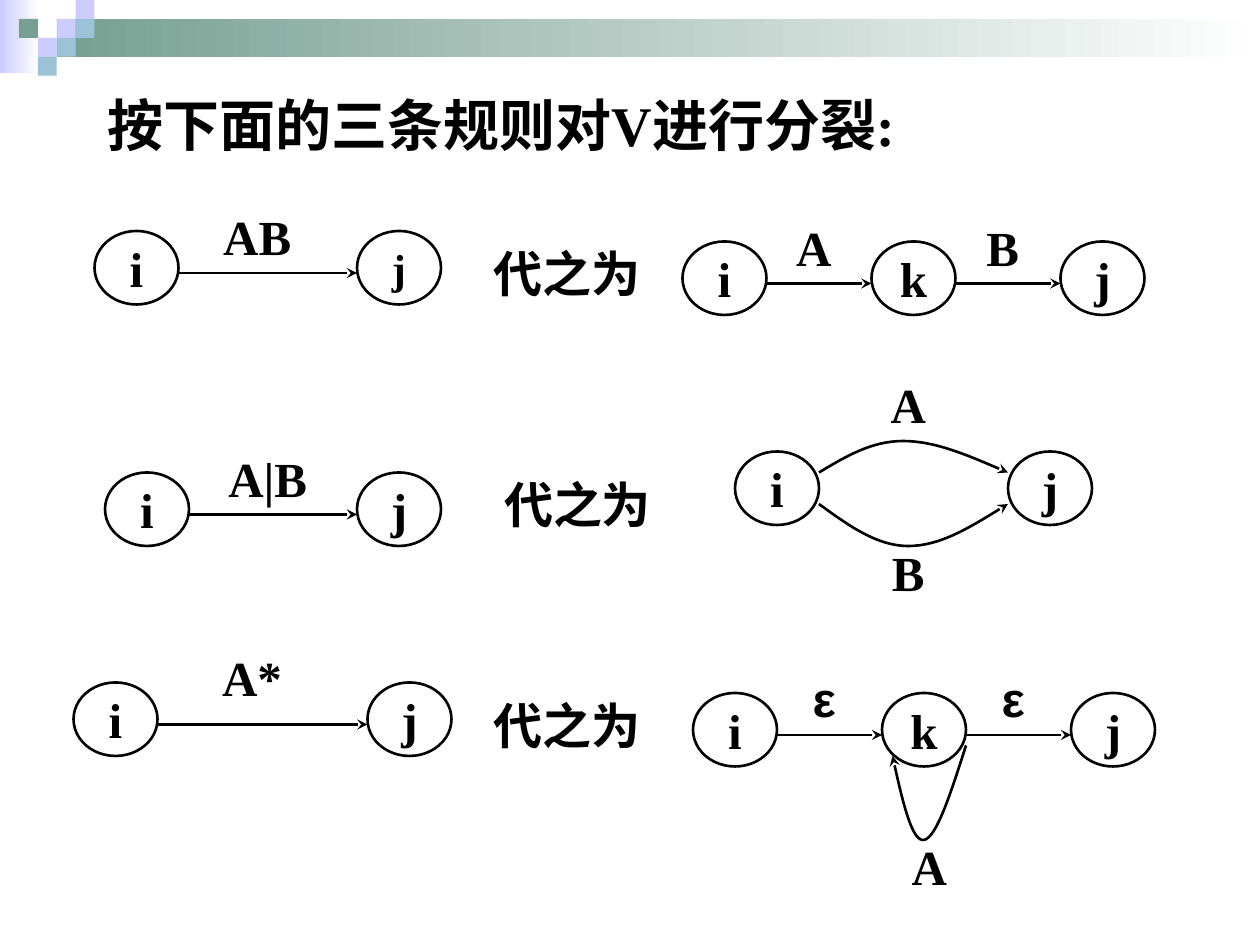
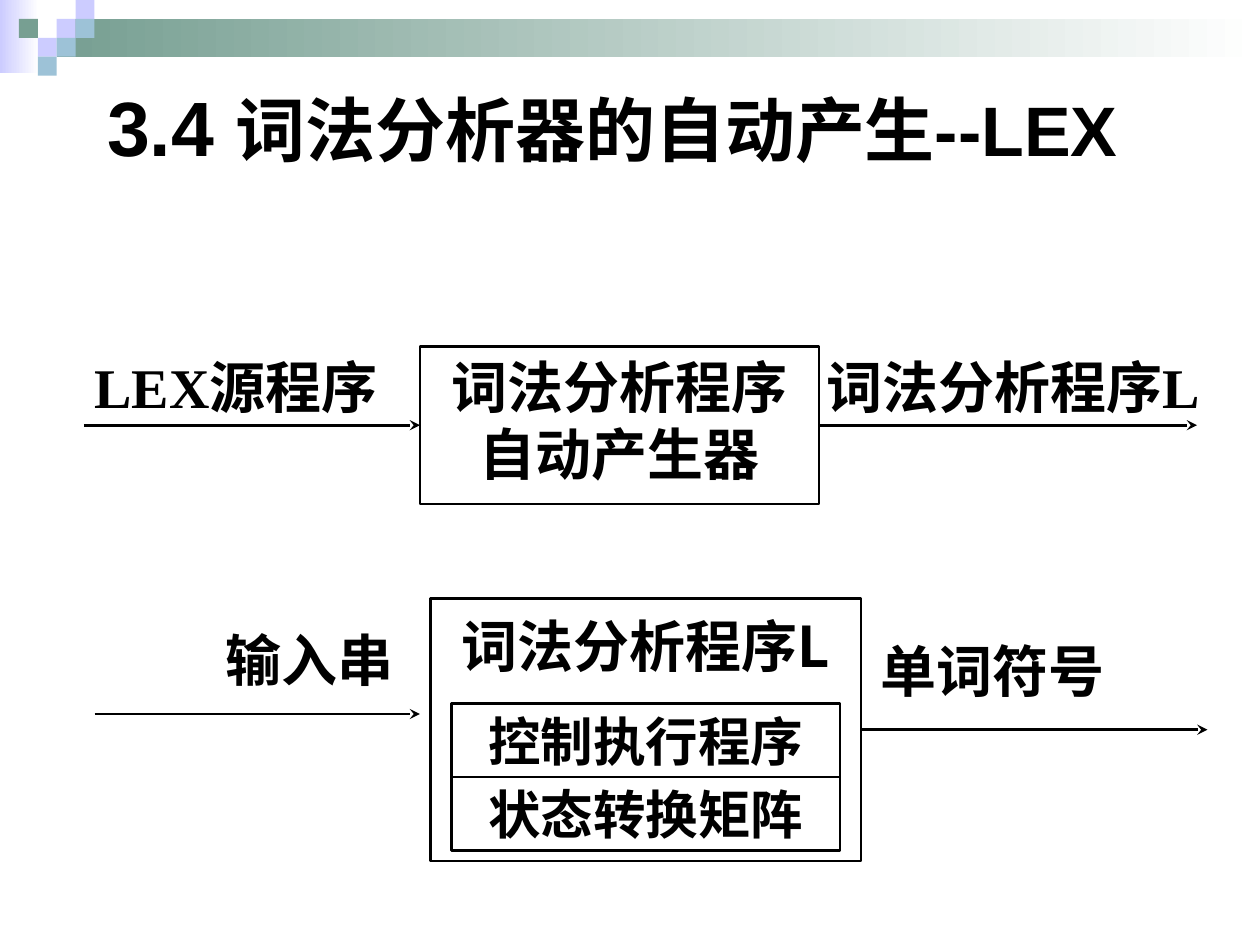
import pptx
import pptx.util
import pptx.dml.color
import pptx.enum.shapes
import pptx.enum.text
import pptx.oxml.ns
import lxml.etree

COLORS = {"ink": "000000", "white": "FFFFFF", "lilac": "CCCCFF",
          "teal": "779F92", "sky": "9DC2D7"}
SERIF, SANS, HAN = "Times New Roman", "Arial", "Noto Sans CJK SC"
COLS, ROWS = 120, 90
TILE = 1.8
TILES = [(3, 1, "lilac"), (4, 0, "lilac"), (4, 1, "sky"), (2, 2, "lilac"),
         (1, 1, "teal"), (3, 2, "sky"), (2, 3, "sky")]

Shape = pptx.enum.shapes.MSO_SHAPE
Anchor = pptx.enum.text.MSO_ANCHOR
Align = pptx.enum.text.PP_ALIGN
qn = pptx.oxml.ns.qn


def shade(name):
    return pptx.dml.color.RGBColor.from_string(COLORS[name])


def write(frame, text, size=28, font=SERIF, align=Align.CENTER,
          anchor=Anchor.MIDDLE, wrap=False, space=None):
    frame.auto_size = pptx.enum.text.MSO_AUTO_SIZE.NONE
    frame.word_wrap = wrap
    frame.vertical_anchor = anchor
    para = frame.paragraphs[-1]
    para.alignment = align
    para.line_spacing = space
    run = para.add_run()
    run.text = text
    run.font.size = pptx.util.Pt(size)
    run.font.name = font
    run.font.bold = True
    run.font.color.rgb = shade("ink")
    lxml.etree.SubElement(run.font._element, qn("a:ea"), typeface=HAN)


class Deck:
    def __init__(self):
        self.show = pptx.Presentation()
        self.show.slide_width = pptx.util.Inches(10)
        self.show.slide_height = pptx.util.Inches(7.5)
        self.slide = None

    def x(self, col):
        return round(self.show.slide_width * col / COLS)

    def y(self, row):
        return round(self.show.slide_height * row / ROWS)

    def area(self, left, top, width, height):
        return self.x(left), self.y(top), self.x(width), self.y(height)

    def page(self):
        self.slide = self.show.slides.add_slide(self.show.slide_layouts[5])

    def title(self, parts, area, **style):
        title = self.slide.shapes.title
        title.left, title.top, title.width, title.height = self.area(*area)
        for text, size in parts:
            write(title.text_frame, text, size=size, align=Align.LEFT,
                  wrap=True, **style)

    def text(self, text, area, **style):
        box = self.slide.shapes.add_textbox(*self.area(*area))
        write(box.text_frame, text, **style)

    def ink(self, line):
        line.color.rgb = shade("ink")
        line.width = pptx.util.Pt(1.5)

    def shape(self, area, text, kind=Shape.RECTANGLE, **style):
        box = self.slide.shapes.add_shape(kind, *self.area(*area))
        box.shadow.inherit = False
        box.fill.background()
        self.ink(box.line)
        write(box.text_frame, text, **style)
        return box

    def tip(self, item):
        line = item.element.spPr.find(qn("a:ln"))
        lxml.etree.SubElement(line, qn("a:tailEnd"), type="stealth")

    def arrow(self, start, end, row, tail=None, head=None):
        line = self.slide.shapes.add_connector(
            pptx.enum.shapes.MSO_CONNECTOR.STRAIGHT,
            self.x(start), self.y(row), self.x(end), self.y(row))
        if tail is not None:
            line.begin_connect(tail, 3)
        if head is not None:
            line.end_connect(head, 1)
        self.ink(line.line)
        self.tip(line)
        lxml.etree.SubElement(line.element.spPr, qn("a:effectLst"))

    def curve(self, *points):
        spots = [(self.x(col), self.y(row)) for col, row in points]
        pen = self.slide.shapes.build_freeform(*spots[0])
        pen.add_line_segments(spots[1:], close=False)
        arc = pen.convert_to_shape()
        arc.shadow.inherit = False
        arc.fill.background()
        self.ink(arc.line)
        self.tip(arc)
        steps = list(arc.element.iter(qn("a:lnTo")))
        for trio in zip(*[iter(steps)] * 3):
            root = trio[0].getparent()
            bend = lxml.etree.SubElement(root, qn("a:cubicBezTo"))
            for step in trio:
                bend.append(step[0])
                root.remove(step)

    def node(self, text, col, row, size=28):
        self.shape((col, row, 8, 7), text, kind=Shape.OVAL, size=size)

    def chain(self, row, nodes, marks, off=-1, lift=3, font=SERIF, last=28):
        for spot, (name, col) in enumerate(nodes):
            self.node(name, col, row, last if spot == len(nodes) - 1 else 28)
        for mark, (_, col), (_, end) in zip(marks, nodes, nodes[1:]):
            self.arrow(col + 8, end, row + 4)
            self.text(mark, (col + 8 + off, row - lift, 11, 7), font=font)

    def block(self, area, *names):
        box = self.slide.shapes.add_shape(Shape.RECTANGLE, *self.area(*area))
        box.shadow.inherit = False
        box.line.fill.background()
        if len(names) == 1:
            box.fill.solid()
            box.fill.fore_color.rgb = shade(names[0])
        else:
            box.fill.gradient()
            box.fill.gradient_angle = 0
            for stop, name in zip(box.fill.gradient_stops, names):
                stop.color.rgb = shade(name)
        return box

    def band(self):
        parts = [self.block((0, 0, 3.7, 7), "lilac", "white"),
                 self.block((3 * TILE, TILE, COLS - 3 * TILE, 2 * TILE),
                            "teal", "white")]
        parts += [self.block((col * TILE, row * TILE, TILE, TILE), name)
                  for col, row, name in TILES]
        tree = self.show.slide_master.shapes.element
        for spot, part in enumerate(parts):
            part.element.nvSpPr.cNvPr.set("id", str(100 + spot))
            tree.insert(2 + spot, part.element)


def rules(deck):
    deck.title([("按下面的三条规则对V进行分裂:", 32)], (9, 8, 102, 9),
               anchor=Anchor.TOP)
    for col, row in [(47, 22), (48, 44), (47, 65)]:
        deck.text("代之为", (col, row, 14, 8))

    deck.chain(22, [("i", 9), ("j", 34)], ["AB"], off=2, last=24)
    deck.chain(23, [("i", 65), ("k", 83), ("j", 101)], ["A", "B"])

    deck.chain(45, [("i", 10), ("j", 34)], ["A|B"], off=2)
    deck.node("i", 70, 43)
    deck.node("j", 96, 43)
    deck.curve((78, 45), (80.5, 43.5), (83, 42), (86, 42),
               (89, 42), (92.5, 43.5), (96, 45))
    deck.curve((78, 48), (80.75, 50), (83.5, 52), (86.5, 52),
               (89.5, 52), (92.75, 50), (96, 48))
    deck.text("A", (81, 35, 11, 7))
    deck.text("B", (81, 51, 11, 7))

    deck.chain(65, [("i", 7), ("j", 35)], ["A*"], off=3.5, lift=4)
    deck.chain(66, [("i", 66), ("k", 84), ("j", 102)], ["ε", "ε"], font=SANS)
    deck.curve((92, 71), (90.6, 75.4), (89.2, 79.8), (88, 80),
               (86.9, 80.2), (85.9, 76.1), (85, 72))
    deck.text("A", (83, 79, 11, 7))


def lexer(deck):
    deck.title([("3.4 ", 44), ("词法分析器的自动产生--LEX", 40)],
               (9, 7, 103, 10), font=SANS)
    big = dict(size=32, anchor=Anchor.TOP, wrap=True)
    maker = deck.shape((40, 33, 38, 15), "词法分析程序自动产生器", **big)
    deck.text("词法分析程序L", (76, 33, 41, 8), **big)
    deck.text("LEX源程序", (6, 33, 33, 8), **big)
    deck.arrow(8, 40, 40.5, head=maker)
    deck.arrow(78, 114, 40.5, tail=maker)

    big["font"] = HAN
    scan = deck.shape((41, 57, 41, 25), "词法分析程序L", space=1.1, **big)
    deck.text("单词符号", (78, 60, 33, 8), **big)
    deck.text("输入串", (13, 59, 33, 8), **big)
    deck.arrow(9, 40, 68)
    deck.arrow(82, 115, 69.5, tail=scan)
    for spot, name in enumerate(["控制执行程序", "状态转换矩阵"]):
        deck.shape((43, 67 + 7 * spot, 37, 7), name, size=30, font=HAN)


def main():
    deck = Deck()
    deck.page()
    deck.band()
    rules(deck)
    deck.page()
    lexer(deck)
    deck.show.save("out.pptx")


if __name__ == "__main__":
    main()
